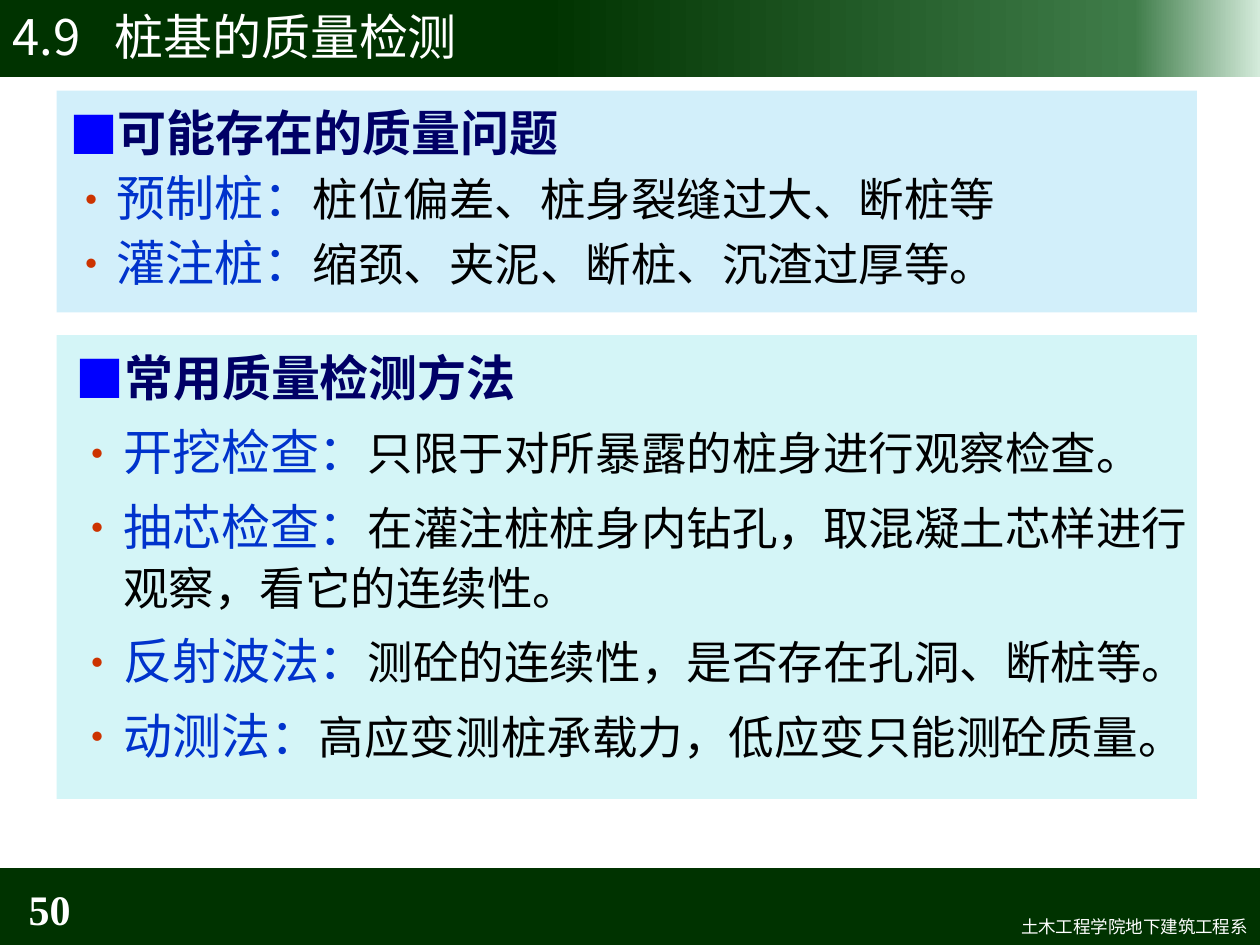
from lxml.etree import SubElement
from pptx import Presentation
from pptx.dml.color import RGBColor
from pptx.enum.shapes import MSO_SHAPE
from pptx.enum.text import MSO_ANCHOR, PP_ALIGN
from pptx.oxml.ns import qn
from pptx.util import Inches, Pt

SANS, SERIF = "Noto Sans CJK SC", "Times New Roman"
GREEN, WHITE = "003300", "FFFFFF"
FADE = [(43, GREEN), (90, "3F7C49"), (100, "D4EBDB")]

HEAD = dict(size=Pt(28), color="000066", bold=True)
TERM = dict(size=Pt(28), color="0033CC")
BODY = dict(size=Pt(26), color="000000")
SQUARE = ("■", "0000FF", 100)
DOT = ("•", "CC3300", 90)

# panel box, panel colour, text box, gap before items in points, heading, items
PANELS = [
    ((0.45, 2.66, 9.05, 3.68), "D4F5F7", (0.5, 2.66, 9.05, 3.51), 5.6,
     "常用质量检测方法", [
         ("开挖检查：", "只限于对所暴露的桩身进行观察检查。"),
         ("抽芯检查：", "在灌注桩桩身内钻孔，取混凝土芯样进行观察，看它的连续性。"),
         ("反射波法：", "测砼的连续性，是否存在孔洞、断桩等。"),
         ("动测法：", "高应变测桩承载力，低应变只能测砼质量。")]),
    ((0.45, 0.72, 9.05, 1.76), "D2EFFA", (0.45, 0.72, 9.05, 1.6), 0,
     "可能存在的质量问题", [
         ("预制桩：", "桩位偏差、桩身裂缝过大、断桩等"),
         ("灌注桩：", "缩颈、夹泥、断桩、沉渣过厚等。")]),
]

# text, box, alignment, anchor, font
LABELS = [
    ("4.9\t桩基的质量检测", (0, -0.03, 10, 0.63), PP_ALIGN.LEFT,
     MSO_ANCHOR.MIDDLE, dict(size=Pt(28), color=WHITE)),
    ("50", (0, 7.01, 0.66, 0.4), PP_ALIGN.RIGHT,
     MSO_ANCHOR.MIDDLE, dict(size=Pt(24), color=WHITE, bold=True, name=SERIF)),
    ("土木工程学院地下建筑工程系", (4.21, 7.22, 5.79, 0.27), PP_ALIGN.RIGHT,
     MSO_ANCHOR.TOP, dict(size=Pt(10), color=WHITE)),
]


def rgb(code):
    return RGBColor.from_string(code)


def add_rect(slide, box, color):
    shape = slide.shapes.add_shape(MSO_SHAPE.RECTANGLE, *map(Inches, box))
    shape.shadow.inherit = False
    shape.line.fill.background()
    shape.fill.solid()
    shape.fill.fore_color.rgb = rgb(color)
    return shape


def fade(shape, stops):
    """Fill the shape with a left-to-right gradient of any number of stops."""
    shape.fill.gradient()
    shape.fill.gradient_angle = 0
    group = shape.fill._xPr.find(qn("a:gradFill")).find(qn("a:gsLst"))
    for old in list(group):
        group.remove(old)
    for place, color in stops:
        stop = SubElement(group, qn("a:gs"), pos=str(place * 1000))
        SubElement(stop, qn("a:srgbClr"), val=color)


def add_frame(slide, box, anchor=MSO_ANCHOR.TOP):
    frame = slide.shapes.add_textbox(*map(Inches, box)).text_frame
    frame.word_wrap = True
    frame.vertical_anchor = anchor
    return frame


def add_run(para, text, style):
    run = para.add_run()
    run.text = text
    for key, value in {"name": SANS, "bold": False, **style}.items():
        if key == "color":
            run.font.color.rgb = rgb(value)
        else:
            setattr(run.font, key, value)
    SubElement(run.font._element, qn("a:ea"), typeface=run.font.name)


def add_bullet(para, mark, color, scale):
    props = para._p.get_or_add_pPr()
    props.set("marL", str(Inches(0.38)))
    props.set("indent", str(-Inches(0.38)))
    tint = SubElement(props, qn("a:buClr"))
    SubElement(tint, qn("a:srgbClr"), val=color)
    SubElement(props, qn("a:buSzPct"), val=str(scale * 1000))
    SubElement(props, qn("a:buFont"), typeface=SANS)
    SubElement(props, qn("a:buChar"), char=mark)


def add_list(slide, box, gap, head, items):
    frame = add_frame(slide, box)
    rows = [(SQUARE, [(head, HEAD)])]
    rows += [(DOT, [(term, TERM), (note, BODY)]) for term, note in items]
    for i, (bullet, runs) in enumerate(rows):
        para = frame.add_paragraph() if i else frame.paragraphs[0]
        add_bullet(para, *bullet)
        para.line_spacing = 1.1
        para.space_before = Pt(gap if i else 0)
        for text, style in runs:
            add_run(para, text, style)


def add_label(slide, text, box, align, anchor, style):
    para = add_frame(slide, box, anchor).paragraphs[0]
    para.alignment = align
    if "\t" in text:
        tabs = SubElement(para._p.get_or_add_pPr(), qn("a:tabLst"))
        SubElement(tabs, qn("a:tab"), pos=str(Inches(0.81)), algn="l")
    add_run(para, text, style)


def main():
    deck = Presentation()
    deck.slide_width, deck.slide_height = Inches(10), Inches(7.5)
    slide = deck.slides.add_slide(deck.slide_layouts[6])
    fade(add_rect(slide, (0, -0.03, 10, 0.64), GREEN), FADE)
    add_rect(slide, (0, 6.89, 10, 0.64), GREEN)
    for area, color, box, gap, head, items in PANELS:
        add_rect(slide, area, color)
        add_list(slide, box, gap, head, items)
    for label in LABELS:
        add_label(slide, *label)
    deck.save("out.pptx")


if __name__ == "__main__":
    main()
